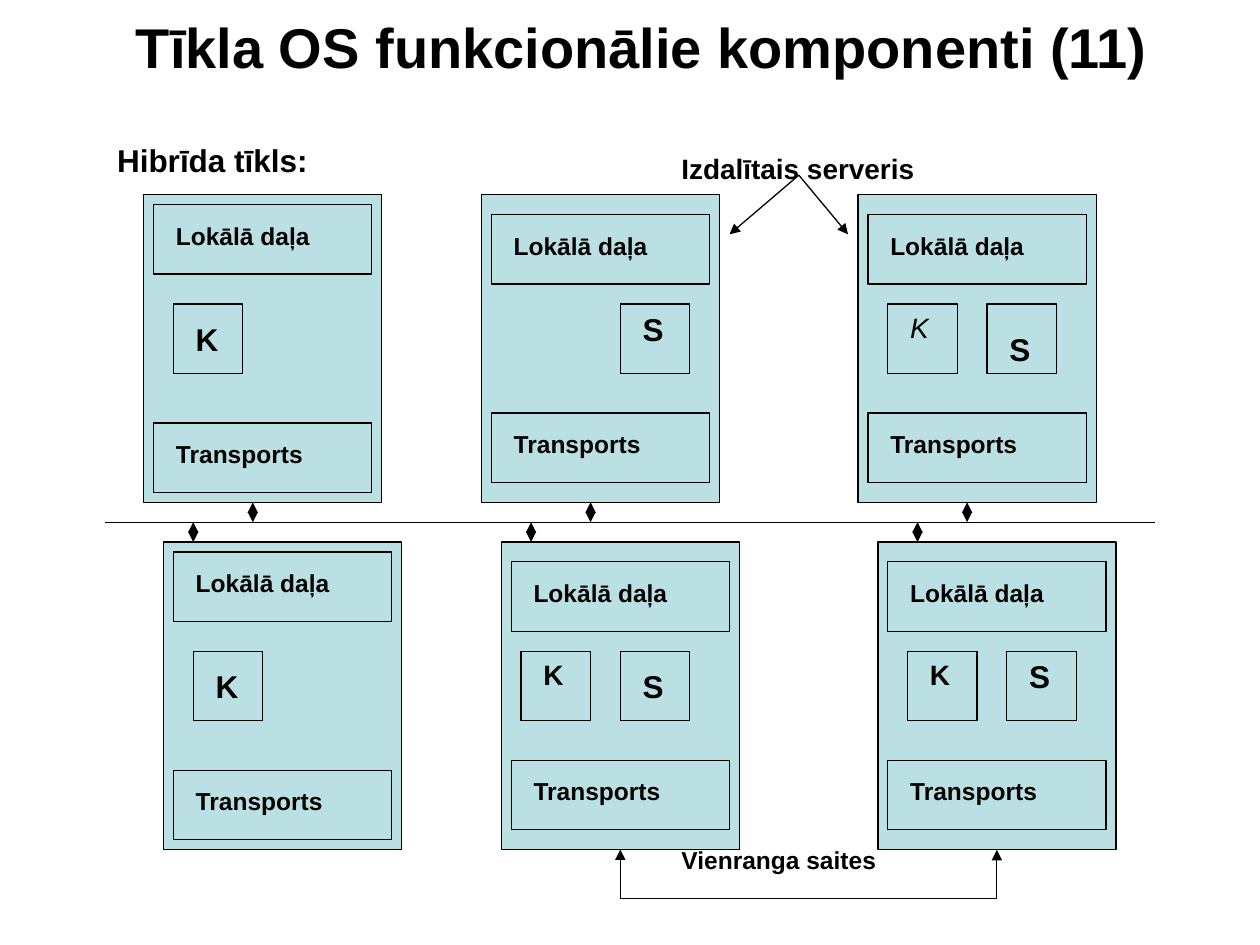
from dataclasses import dataclass

from lxml import etree
from pptx import Presentation
from pptx import util as u
from pptx.dml.color import RGBColor
from pptx.enum import shapes, text
from pptx.oxml.ns import qn

COLORS = {"ink": "000000", "node": "BBE0E3"}
FONT = "Arial"
LINE_WIDTH = 0.75

# Geometry in points; STEP is the drawing grid
STEP = 5.67
COLUMNS = (82.1, 275.1, 490.3)
TOP_ROW = 111.3
NODE_W, NODE_H = 24 * STEP, 31 * STEP
PART_W, PART_H = 22 * STEP, 7 * STEP
BUS_Y = TOP_ROW + NODE_H + 2 * STEP
BOTTOM_ROW = BUS_Y + 2 * STEP
ROW_SHIFT = 2 * STEP


@dataclass
class Role:
    """A client (K) or server (S) square; offsets in grid steps."""
    letter: str
    offset: int
    drop: int = 0
    size: int = 18
    bold: bool = True


@dataclass
class Node:
    """A computer on the network; margin and link in grid steps."""
    left: float
    top: float
    margin: int
    link: int
    roles: list[Role]


NODES = [
    Node(COLUMNS[0], TOP_ROW, 1, 11, [Role("K", 3, drop=1)]),
    Node(COLUMNS[1], TOP_ROW, 2, 11, [Role("S", 14)]),
    Node(COLUMNS[2], TOP_ROW, 2, 11,
         [Role("K", 3, size=16, bold=False), Role("S", 13, drop=2)]),
    Node(COLUMNS[0] + ROW_SHIFT, BOTTOM_ROW, 1, 3, [Role("K", 3, drop=1)]),
    Node(COLUMNS[1] + ROW_SHIFT, BOTTOM_ROW, 2, 3,
         [Role("K", 2, size=16), Role("S", 12, drop=1)]),
    Node(COLUMNS[2] + ROW_SHIFT, BOTTOM_ROW, 2, 4,
         [Role("K", 3, size=16), Role("S", 13)]),
]


def rgb(name: str) -> RGBColor:
    return RGBColor.from_string(COLORS[name])


def add_text(slide, words: str, left: float, top: float, width: float, height: float, *,
             size: float = 14, bold: bool = True, italic: bool = False,
             grow: bool = True, anchor=text.MSO_ANCHOR.TOP, bottom_inset: float = 3.6):
    box = slide.shapes.add_textbox(u.Pt(left), u.Pt(top), u.Pt(width), u.Pt(height))
    frame = box.text_frame
    frame.word_wrap = True
    frame.auto_size = (text.MSO_AUTO_SIZE.SHAPE_TO_FIT_TEXT if grow
                       else text.MSO_AUTO_SIZE.NONE)
    frame.vertical_anchor = anchor
    frame.margin_bottom = u.Pt(bottom_inset)
    run = frame.paragraphs[0].add_run()
    run.text = words
    run.font.name = FONT
    run.font.size = u.Pt(size)
    run.font.bold = bold
    run.font.italic = italic
    run.font.color.rgb = rgb("ink")
    return box


def add_box(slide, left: float, top: float, width: float, height: float):
    box = slide.shapes.add_shape(shapes.MSO_SHAPE.RECTANGLE, u.Pt(left), u.Pt(top),
                                 u.Pt(width), u.Pt(height))
    box.shadow.inherit = False
    box.fill.solid()
    box.fill.fore_color.rgb = rgb("node")
    box.line.color.rgb = rgb("ink")
    box.line.width = u.Pt(LINE_WIDTH)
    return box


def add_line(slide, start: tuple[float, float], end: tuple[float, float], *,
             head: bool = False, tail: bool = False,
             kind=shapes.MSO_CONNECTOR.STRAIGHT):
    line = slide.shapes.add_connector(kind, *(u.Pt(v) for v in (*start, *end)))
    line.line.color.rgb = rgb("ink")
    line.line.width = u.Pt(LINE_WIDTH)
    outline = line.line._get_or_add_ln()
    for tag, wanted in (("a:headEnd", head), ("a:tailEnd", tail)):
        if wanted:
            etree.SubElement(outline, qn(tag), type="triangle")
    etree.SubElement(line._element.spPr, qn("a:effectLst"))
    return line


def add_part(slide, label: str, left: float, top: float) -> None:
    add_box(slide, left, top, PART_W, PART_H)
    add_text(slide, label, left + STEP, top + STEP, 20 * STEP, 24.5)


def add_node(slide, node: Node):
    body = add_box(slide, node.left, node.top, NODE_W, NODE_H)
    margin = node.margin * STEP
    add_part(slide, "Lokālā daļa", node.left + STEP, node.top + margin)
    add_part(slide, "Transports", node.left + STEP, node.top + NODE_H - margin - PART_H)
    for role in node.roles:
        left, top = node.left + role.offset * STEP, node.top + 11 * STEP
        add_box(slide, left, top, PART_H, PART_H)
        add_text(slide, role.letter, left + STEP, top + role.drop * STEP, 5 * STEP,
                 role.size * 1.2 + 7.2, size=role.size, bold=role.bold,
                 italic=not role.bold)
    # Link between the node and the bus
    x = node.left + node.link * STEP
    ends = sorted((BUS_Y, node.top if node.top > BUS_Y else node.top + NODE_H))
    add_line(slide, (x, ends[0]), (x, ends[1]), head=True, tail=True)
    return body


def add_peer_link(slide, first, second) -> None:
    """Joins the bottom sides of two nodes with a bracket below them."""
    bracket = add_line(slide, (0, 0), (0, 0), head=True, tail=True,
                       kind=shapes.MSO_CONNECTOR.ELBOW)
    bracket.begin_connect(first, 2)
    bracket.end_connect(second, 2)
    depth, thickness = u.Pt(5 * STEP), u.Pt(0.2)
    span = second.left - first.left
    middle_x = first.left + (first.width + span) // 2
    # The elbow is turned a quarter, so its height is the horizontal span
    bracket.left, bracket.width = middle_x - thickness // 2, thickness
    bracket.top, bracket.height = first.top + first.height - span // 2, span
    spPr = bracket._element.spPr
    xfrm = spPr.find(qn("a:xfrm"))
    xfrm.attrib.pop("flipV", None)
    xfrm.set("rot", "16200000")
    xfrm.set("flipH", "1")
    geometry = spPr.find(qn("a:prstGeom"))
    guides = geometry.get_or_add_avLst()
    etree.SubElement(guides, qn("a:gd"), name="adj1",
                     fmla=f"val {round(depth / thickness * 100000)}")


def main() -> None:
    deck = Presentation()
    deck.slide_width, deck.slide_height = u.Pt(720), u.Pt(540)
    slide = deck.slides.add_slide(deck.slide_layouts[6])

    # Headings
    add_text(slide, "Tīkla OS funkcionālie komponenti (11)", 70.6, 25.9, 601.2, 39.6,
             size=32, grow=False, anchor=text.MSO_ANCHOR.BOTTOM, bottom_inset=20)
    add_text(slide, "Hibrīda tīkls:", 59.8, 77, 617.8, 419.8, size=18, grow=False)

    # Bus and the computers on it
    add_line(slide, (59.8, BUS_Y), (660.2, BUS_Y))
    bodies = [add_node(slide, node) for node in NODES]

    # Dedicated servers
    add_text(slide, "Izdalītais serveris", 382.3, 82.8, 215.3, 26.6, size=16)
    for x in (416.9, 484.6):
        add_line(slide, (456.5, 100.1), (x, 133.9), tail=True)

    # Peer-to-peer links
    add_peer_link(slide, bodies[4], bodies[5])
    add_text(slide, "Vienranga saites", 382.3, 479.5, 175.7, 24.5)

    deck.save("out.pptx")


if __name__ == "__main__":
    main()
